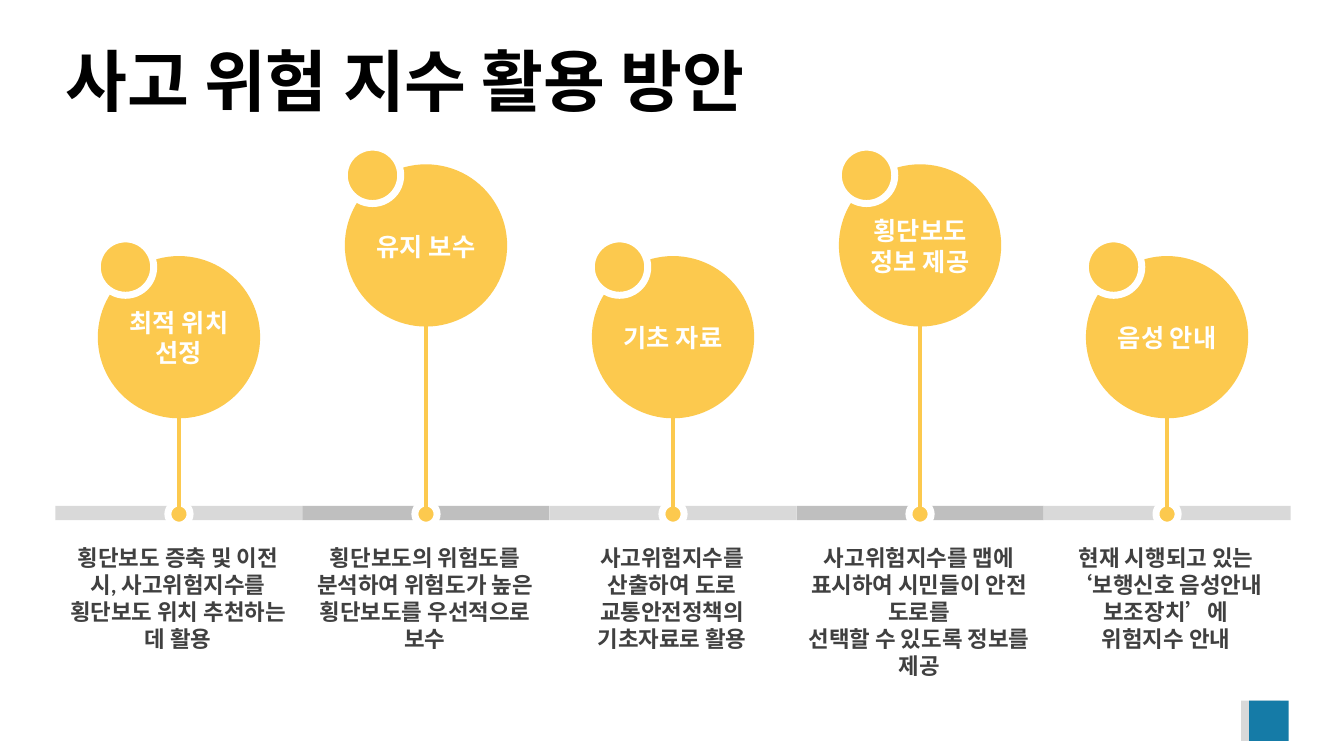
from pptx import Presentation
from pptx.dml.color import RGBColor
from pptx.enum.shapes import MSO_CONNECTOR as Connector, MSO_SHAPE as Shape
from pptx.enum.text import MSO_ANCHOR as Anchor, PP_ALIGN as Align
from pptx.oxml.ns import qn
from pptx.util import Inches, Pt
from lxml import etree

YELLOW = RGBColor(0xFC, 0xC9, 0x4E)
LIGHT_GRAY = RGBColor(0xD9, 0xD9, 0xD9)
MID_GRAY = RGBColor(0xBF, 0xBF, 0xBF)
DARK_GRAY = RGBColor(0x40, 0x40, 0x40)
BLUE = RGBColor(0x15, 0x7B, 0xA7)
WHITE = RGBColor(0xFF, 0xFF, 0xFF)
BLACK = RGBColor(0, 0, 0)

FONT = "Calibri"
BAR_LEFT, BAR_TOP, BAR_WIDTH, BAR_HEIGHT = 0.55, 5.02, 2.45, 0.14
LOW, HIGH = 2.54, 1.63  # tops of the large circles

# Circle top, label paragraphs, description paragraphs
STATIONS = [
    (LOW, ["최적 위치", "선정"],
     ["횡단보도 증축 및 이전 시, 사고위험지수를 횡단보도 위치 추천하는 데 활용"]),
    (HIGH, ["유지 보수"],
     ["횡단보도의 위험도를 분석하여 위험도가 높은 횡단보도를 우선적으로 보수"]),
    (LOW, ["기초 자료"],
     ["사고위험지수를 산출하여 도로 교통안전정책의 기초자료로 활용"]),
    (HIGH, ["횡단보도 정보 제공"],
     ["사고위험지수를 맵에 표시하여 시민들이 안전 도로를", "선택할 수 있도록 정보를 제공"]),
    (LOW, ["음성 안내"],
     ["현재 시행되고 있는 ‘보행신호 음성안내 보조장치’에", "위험지수 안내"]),
]


def add_text(slide, paragraphs, left, top, width, height, *, size, color,
             align=Align.CENTER, anchor=Anchor.TOP, margin_x=0, margin_y=0, spacing=None):
    box = slide.shapes.add_textbox(Inches(left), Inches(top), Inches(width), Inches(height))
    frame = box.text_frame
    frame.word_wrap = True
    frame.vertical_anchor = anchor
    frame.margin_left = frame.margin_right = Inches(margin_x)
    frame.margin_top = frame.margin_bottom = Inches(margin_y)
    for index, text in enumerate(paragraphs):
        paragraph = frame.add_paragraph() if index else frame.paragraphs[0]
        paragraph.text = text
        paragraph.alignment = align
        paragraph.line_spacing = spacing
        font = paragraph.font
        font.name, font.size, font.bold = FONT, Pt(size), True
        font.color.rgb = color


def add_block(slide, kind, left, top, width, height, fill, outline=None):
    shape = slide.shapes.add_shape(kind, Inches(left), Inches(top), Inches(width), Inches(height))
    shape.shadow.inherit = False
    shape.fill.solid()
    shape.fill.fore_color.rgb = fill
    if outline is None:
        shape.line.fill.background()
    else:
        shape.line.color.rgb = outline
        shape.line.width = Pt(5)


def add_circle(slide, center_x, center_y, diameter, outline=None):
    add_block(slide, Shape.OVAL, center_x - diameter / 2, center_y - diameter / 2,
              diameter, diameter, YELLOW, outline)


def add_stem(slide, x, top, bottom):
    stem = slide.shapes.add_connector(Connector.STRAIGHT, Inches(x), Inches(top),
                                      Inches(x), Inches(bottom))
    stem.line.color.rgb = YELLOW
    stem.line.width = Pt(3)
    etree.SubElement(stem._element.spPr, qn("a:effectLst"))


def add_corner_mark(slide, left, top):
    for offset, color in ((0, LIGHT_GRAY), (0.08, BLUE)):
        add_block(slide, Shape.RECTANGLE, left + offset, top, 0.39, 0.4, color)


def add_station(slide, left, width, circle_top, label, description):
    center = left + width / 2
    diameter = 1.61
    # Marker on the timeline and stem up to the circle
    add_circle(slide, center, BAR_TOP + 0.08, 0.22, WHITE)
    add_stem(slide, center, circle_top + diameter - 0.05, BAR_TOP + 0.04)
    # Large circle with its label and small satellite
    add_circle(slide, center, circle_top + diameter / 2, diameter)
    add_text(slide, label, center - 0.69, circle_top + 0.51, 1.38, 0.6,
             size=18, color=WHITE, anchor=Anchor.MIDDLE)
    add_circle(slide, center - 0.53, circle_top + 0.11, 0.56, WHITE)
    # Description below the timeline
    add_text(slide, description, center - 1.12, 5.4, 2.22, 1.38, size=16, color=DARK_GRAY)


def add_timeline(slide, left, top, width, height):
    lefts = [left + index * width for index in range(len(STATIONS))]
    for index, bar_left in enumerate(lefts):
        add_block(slide, Shape.RECTANGLE, bar_left, top, width, height,
                  MID_GRAY if index % 2 else LIGHT_GRAY)
    for bar_left, station in zip(lefts, STATIONS):
        add_station(slide, bar_left, width, *station)


def main():
    presentation = Presentation()
    presentation.slide_width, presentation.slide_height = Inches(13.33), Inches(7.5)
    slide = presentation.slides.add_slide(presentation.slide_layouts[6])
    add_corner_mark(slide, 12.31, 6.95)
    add_text(slide, ["사고 위험 지수 활용 방안"], 0.55, 0.4, 12.23, 0.89, size=48, color=BLACK,
             align=Align.LEFT, anchor=Anchor.MIDDLE, margin_x=0.1, margin_y=0.05, spacing=0.9)
    add_timeline(slide, BAR_LEFT, BAR_TOP, BAR_WIDTH, BAR_HEIGHT)
    presentation.save("out.pptx")


if __name__ == "__main__":
    main()
